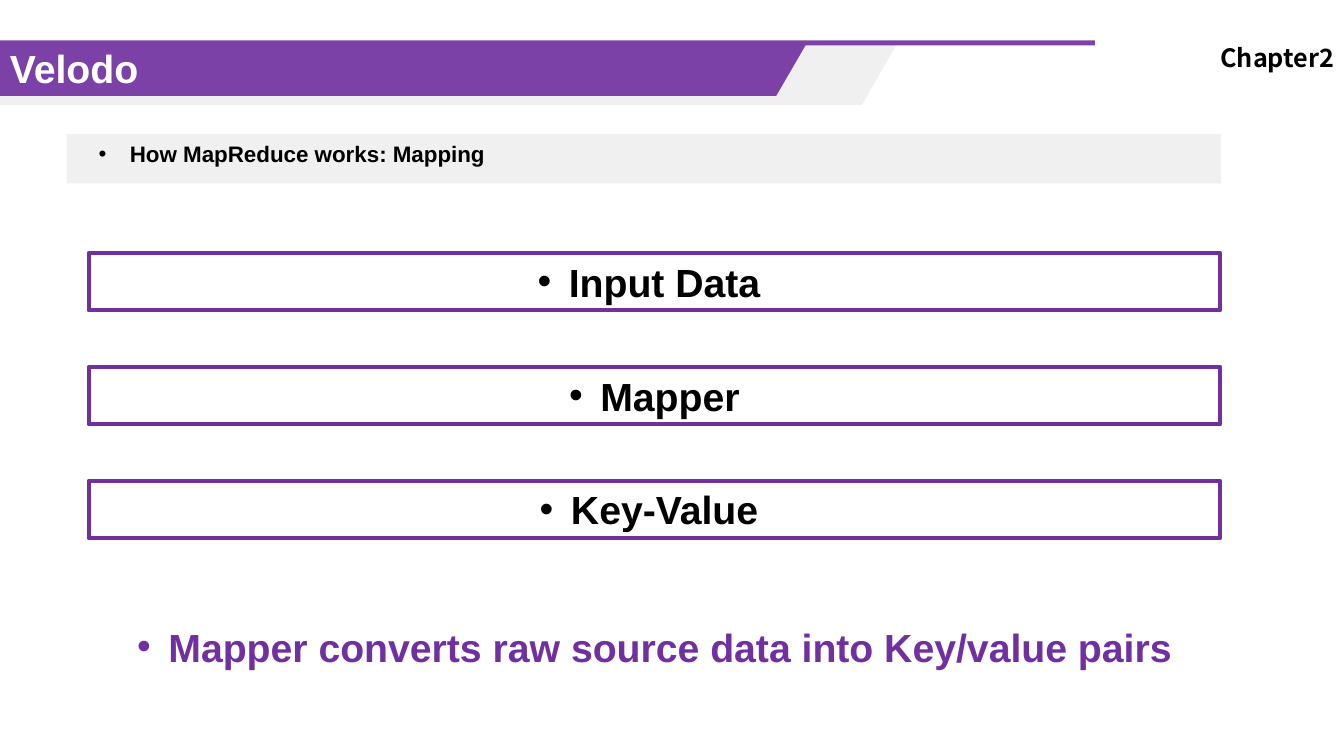
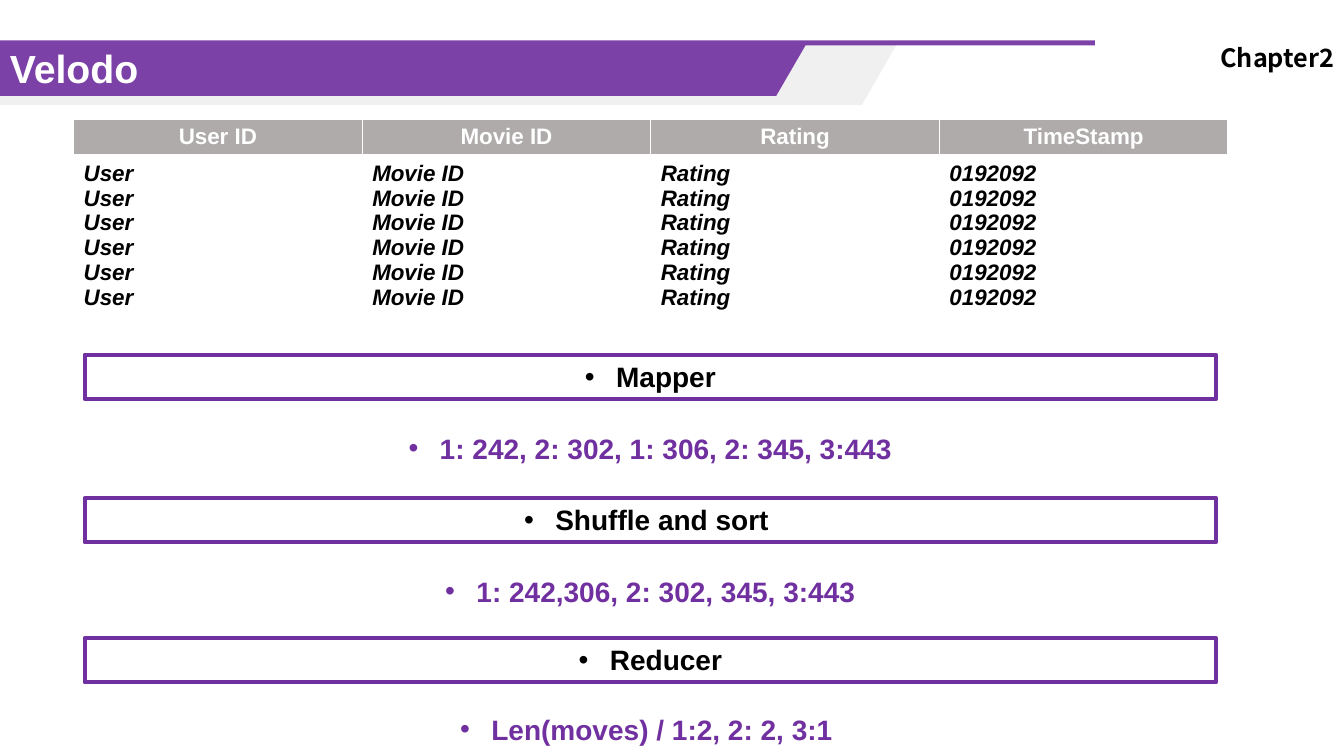
from pptx import Presentation
from pptx.dml.color import RGBColor
from pptx.enum import shapes, text
from pptx.oxml import parse_xml
from pptx.oxml.ns import nsdecls, qn
from pptx.util import Pt

PX = 9144  # 100 px to the inch
PURPLE = RGBColor(0x70, 0x30, 0xA0)
GREY = RGBColor(0xA5, 0xA5, 0xA5)
HEADER_GREY = RGBColor(0xAF, 0xAB, 0xAB)
BLACK = RGBColor(0, 0, 0)
WHITE = RGBColor(255, 255, 255)
LEFT, CENTER, RIGHT = text.PP_ALIGN.LEFT, text.PP_ALIGN.CENTER, text.PP_ALIGN.RIGHT


def paint(shape, colour, opacity):
    """Fill a shape with a translucent colour and no outline."""
    shape.shadow.inherit = False
    shape.fill.solid()
    shape.fill.fore_color.rgb = colour
    srgb = shape._element.spPr.find(".//" + qn("a:srgbClr"))
    srgb.append(parse_xml(f'<a:alpha {nsdecls("a")} val="{opacity * 1000}"/>'))
    shape.line.fill.background()


def write(paragraph, words, size, colour, align=LEFT, font="Arial", bullet=False):
    """Add one bold run, with a hanging bullet on request."""
    paragraph.alignment = align
    run = paragraph.add_run()
    run.text = words
    run.font.size, run.font.name, run.font.bold = Pt(size), font, True
    run.font.color.rgb = colour
    if font != "Arial":
        run._r.get_or_add_rPr().append(parse_xml(f'<a:ea {nsdecls("a")} typeface="{font}"/>'))
    if bullet:
        props = paragraph._p.get_or_add_pPr()
        props.set("marL", str(31 * PX))
        props.set("indent", str(-31 * PX))
        props.append(parse_xml(f'<a:buFont {nsdecls("a")} typeface="Arial"/>'))
        props.append(parse_xml(f'<a:buChar {nsdecls("a")} char="•"/>'))
    return run


prs = Presentation()
prs.slide_width, prs.slide_height = 1333 * PX, 750 * PX

# Shared header: two slanted bands, title and chapter mark
GREY_BAND = [(0, 43), (890, 43), (855, 104), (0, 104)]
TITLE_BAND = [(0, 40), (1086, 40), (1086, 45), (799, 45), (770, 95), (0, 95)]

mapping, example = slides = [prs.slides.add_slide(prs.slide_layouts[6]) for _ in range(2)]
for slide in slides:
    for corners, colour, opacity in ((GREY_BAND, GREY, 16), (TITLE_BAND, PURPLE, 91)):
        outline = slide.shapes.build_freeform(*corners[0], scale=PX)
        outline.add_line_segments(corners[1:], close=True)
        band = outline.convert_to_shape()
        paint(band, colour, opacity)
    band.text_frame.vertical_anchor = text.MSO_ANCHOR.MIDDLE
    write(band.text_frame.paragraphs[0], "Velodo", 28, WHITE)

    chapter = slide.shapes.add_textbox(491 * PX, 41 * PX, 842 * PX, 33 * PX).text_frame
    chapter.word_wrap = True
    chapter.vertical_anchor = text.MSO_ANCHOR.MIDDLE
    write(chapter.paragraphs[0], "Chapter2", 18, BLACK, RIGHT, "Noto Sans CJK KR")

# Slide 1: subtitle strip
strip = mapping.shapes.add_shape(shapes.MSO_SHAPE.RECTANGLE, 66 * PX, 133 * PX, 1145 * PX, 49 * PX)
paint(strip, GREY, 16)
subtitle = mapping.shapes.add_textbox(88 * PX, 134 * PX, 1122 * PX, 37 * PX).text_frame
subtitle.word_wrap = True
write(subtitle.paragraphs[0], "How MapReduce works: Mapping", 16, BLACK, bullet=True)

# Slide 2: ratings table
COLUMNS = [("User ID", "User"), ("Movie ID", "Movie ID"),
           ("Rating", "Rating"), ("TimeStamp", "0192092")]
RECORDS = 6
ratings = example.shapes.add_table(2, len(COLUMNS), 73 * PX, 118 * PX, 1145 * PX, 207 * PX).table
ratings.horz_banding = False
ratings.rows[0].height, ratings.rows[1].height = 36 * PX, 171 * PX
for col, (heading, value) in enumerate(COLUMNS):
    head, body = ratings.cell(0, col), ratings.cell(1, col)
    write(head.text_frame.paragraphs[0], heading, 16, WHITE, CENTER)
    for record in range(RECORDS):
        lines = body.text_frame
        line = lines.add_paragraph() if record else lines.paragraphs[0]
        write(line, value, 16, BLACK).font.italic = True
    head.fill.solid()
    head.fill.fore_color.rgb = HEADER_GREY
    body.fill.background()
    for cell, bottom in ((head, 3), (body, 1)):
        for place, (side, width) in enumerate(zip("LRTB", (1, 1, 1, bottom))):
            cell._tc.get_or_add_tcPr().insert(place, parse_xml(
                f'<a:ln{side} {nsdecls("a")} w="{Pt(width)}"><a:solidFill>'
                f'<a:srgbClr val="{WHITE}"/></a:solidFill></a:ln{side}>'))

# Steps in outlined boxes, results in plain purple text
STEPS = [
    (mapping, 88, 57, 28, [
        (251, "Input Data ", True),
        (364, "Mapper", True),
        (477, "Key-Value ", True),
        (613, "Mapper converts raw source data into Key/value pairs", False)]),
    (example, 84, 44, 20, [
        (352, "Mapper", True),
        (423, "1: 242, 2: 302, 1: 306, 2: 345, 3:443", False),
        (494, "Shuffle and sort ", True),
        (565, "1: 242,306, 2: 302, 345, 3:443", False),
        (633, "Reducer", True),
        (702, "Len(moves) / 1:2, 2: 2, 3:1 ", False)]),
]
for slide, left, height, size, steps in STEPS:
    for top, words, boxed in steps:
        place = (left * PX, top * PX, 1122 * PX, height * PX)
        if boxed:
            step = slide.shapes.add_shape(shapes.MSO_SHAPE.RECTANGLE, *place)
            step.shadow.inherit = False
            step.fill.background()
            step.line.color.rgb = PURPLE
            step.line.width = Pt(3)
        else:
            step = slide.shapes.add_textbox(*place)
        frame = step.text_frame
        frame.word_wrap = True
        frame.auto_size = text.MSO_AUTO_SIZE.SHAPE_TO_FIT_TEXT
        frame.vertical_anchor = text.MSO_ANCHOR.TOP
        write(frame.paragraphs[0], words, size, BLACK if boxed else PURPLE, CENTER, bullet=True)

prs.save("out.pptx")
